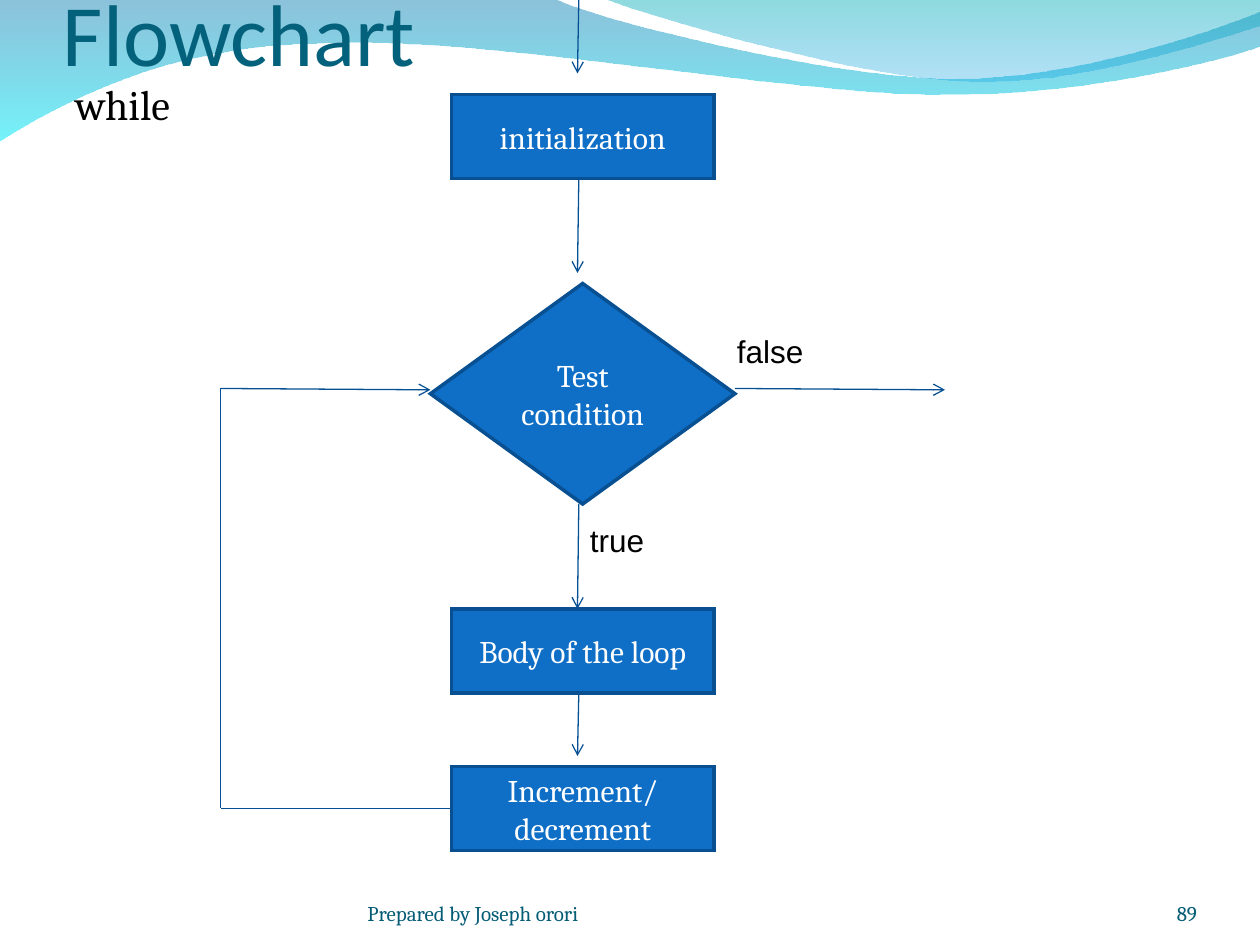
from lxml.etree import SubElement
from pptx import Presentation
from pptx.dml.color import RGBColor
from pptx.enum.shapes import MSO_CONNECTOR, MSO_SHAPE
from pptx.enum.text import MSO_ANCHOR, PP_ALIGN
from pptx.oxml.ns import qn
from pptx.util import Pt

PX = 9525
COLORS = {
    "title": "04617B", "footer": "045C75", "text": "000000", "label": "FFFFFF",
    "box": "0F6FC6", "border": "085091", "arrow": "065093",
    "wave_top": "0079AF", "wave_bottom": "00EBF8",
    "crest_top": "00ADB6", "crest_bottom": "009BE5",
}
AXIS, LOOP_X, TEST_Y, STEP_Y = 440, 168, 296, 616
BOX_X, BOX_W, BOX_H = 344, 200, 64
WAVE = [[(0, -1)], [(422, -1)],
        [(457, 16), (637, 60), (728, 60)], [(819, 60), (920, 25), (960, 9)],
        [(961, 35)],
        [(944, 42), (835, 73), (716, 72)], [(597, 72), (367, 27), (247, 33)],
        [(124, 34), (44, 80), (-1, 108)]]
CREST = [[(460, -1)],
         [(489, 11), (655, 60), (738, 62)], [(822, 66), (923, 31), (960, 20)],
         [(960, 0)]]


def rgb(name):
    """Return the named colour."""
    return RGBColor.from_string(COLORS[name])


def px(*values):
    """Turn pixel lengths into EMU."""
    return [v * PX for v in values]


def bend(sp, segments):
    """Turn each three-point run of an outline into a Bezier curve."""
    lines = iter(list(sp._element.iter(qn("a:lnTo"))))
    for segment in segments:
        group = [next(lines) for _ in segment]
        if len(group) == 3:
            curve = group[0].makeelement(qn("a:cubicBezTo"))
            group[0].addprevious(curve)
            for line in group:
                curve.append(line[0])
                line.getparent().remove(line)


def add_wave(slide, outline, stops):
    """Add a curved band with a translucent vertical gradient."""
    (start,), *segments = outline
    builder = slide.shapes.build_freeform(*start, scale=PX)
    builder.add_line_segments([p for segment in segments for p in segment], close=True)
    sp = builder.convert_to_shape()
    bend(sp, segments)
    sp.shadow.inherit = False
    sp.line.fill.background()
    sp.fill.gradient()
    sp.fill.gradient_angle = 270
    for stop, (color, _) in zip(sp.fill.gradient_stops, stops):
        stop.color.rgb = rgb(color)
    for clr, (_, opacity) in zip(sp._element.spPr.iter(qn("a:srgbClr")), stops):
        SubElement(clr, qn("a:alpha")).set("val", str(opacity * 1000))


def set_text(sp, text, size, font, color, align, anchor):
    """Write one paragraph into a shape."""
    tf = sp.text_frame
    tf.word_wrap = True
    tf.vertical_anchor = anchor
    p = tf.paragraphs[0]
    p.text = text
    p.alignment = align
    p.font.size = Pt(size)
    p.font.name = font
    p.font.color.rgb = rgb(color)


def add_text(slide, box, text, size, font, color, align=PP_ALIGN.LEFT,
             anchor=MSO_ANCHOR.TOP, flush=False):
    """Add a text box, flush with its edges if wanted."""
    sp = slide.shapes.add_textbox(*px(*box))
    tf = sp.text_frame
    if flush:
        tf.margin_left = tf.margin_right = tf.margin_top = tf.margin_bottom = 0
    set_text(sp, text, size, font, color, align, anchor)


def add_node(slide, kind, box, text):
    """Add a flowchart node with a centred label and sharp corners."""
    sp = slide.shapes.add_shape(kind, *px(*box))
    sp.shadow.inherit = False
    sp.fill.solid()
    sp.fill.fore_color.rgb = rgb("box")
    sp.line.color.rgb = rgb("border")
    sp.line.width = Pt(2)
    SubElement(sp.line._get_or_add_ln(), qn("a:miter")).set("lim", "800000")
    set_text(sp, text, 18, "Cambria", "label", PP_ALIGN.CENTER, MSO_ANCHOR.MIDDLE)
    return sp


def add_line(slide, start, end, arrow=True):
    """Add a thin straight connector, with an arrowhead at its end if wanted."""
    line = slide.shapes.add_connector(MSO_CONNECTOR.STRAIGHT, *px(*start, *end))
    line.line.color.rgb = rgb("arrow")
    line.line.width = Pt(0.75)
    if arrow:
        SubElement(line.line._get_or_add_ln(), qn("a:tailEnd")).set("type", "arrow")
    SubElement(line._element.spPr, qn("a:effectLst"))
    return line


def main():
    """Build the slide and save it."""
    prs = Presentation()
    prs.slide_width, prs.slide_height = px(960, 720)
    slide = prs.slides.add_slide(prs.slide_layouts[6])

    add_wave(slide, WAVE, [("wave_top", 45), ("wave_bottom", 55)])
    add_wave(slide, CREST, [("crest_top", 45), ("crest_bottom", 30)])

    add_text(slide, (48, 0, 864, 64), "Flowchart", 50, "Calibri", "title",
             anchor=MSO_ANCHOR.BOTTOM, flush=True)
    add_text(slide, (48, 55, 864, 608), "while", 24, "Cambria", "text")
    for x, w, text, align in ((280, 352, "Prepared by Joseph orori", PP_ALIGN.LEFT),
                              (832, 80, "89", PP_ALIGN.RIGHT)):
        add_text(slide, (x, 667, w, 38), text, 12, "Cambria", "footer",
                 align, MSO_ANCHOR.BOTTOM, flush=True)

    for y, text in ((72, "initialization"), (464, "Body of the loop"),
                    (584, "Increment/decrement")):
        step = add_node(slide, MSO_SHAPE.RECTANGLE, (BOX_X, y, BOX_W, BOX_H), text)
    add_node(slide, MSO_SHAPE.DIAMOND, (328, 216, 232, 168), "Test condition")

    for top, bottom in ((136, 208), (384, 464), (528, 576)):
        add_line(slide, (AXIS + 1, top), (AXIS, bottom))
    for left, right in ((560, 720), (LOOP_X, 328)):
        add_line(slide, (left, TEST_Y), (right, TEST_Y + 1))
    add_line(slide, (AXIS + 1, 0), (AXIS, 56))
    add_line(slide, (LOOP_X, TEST_Y), (LOOP_X, STEP_Y), arrow=False)
    back = add_line(slide, (BOX_X, STEP_Y), (LOOP_X, STEP_Y), arrow=False)
    back.begin_connect(step, 1)

    for x, y, text in ((440, 392, "true"), (552, 248, "false")):
        add_text(slide, (x, y, 136, 38), text, 18, "Arial", "text")

    prs.save("out.pptx")


if __name__ == "__main__":
    main()
